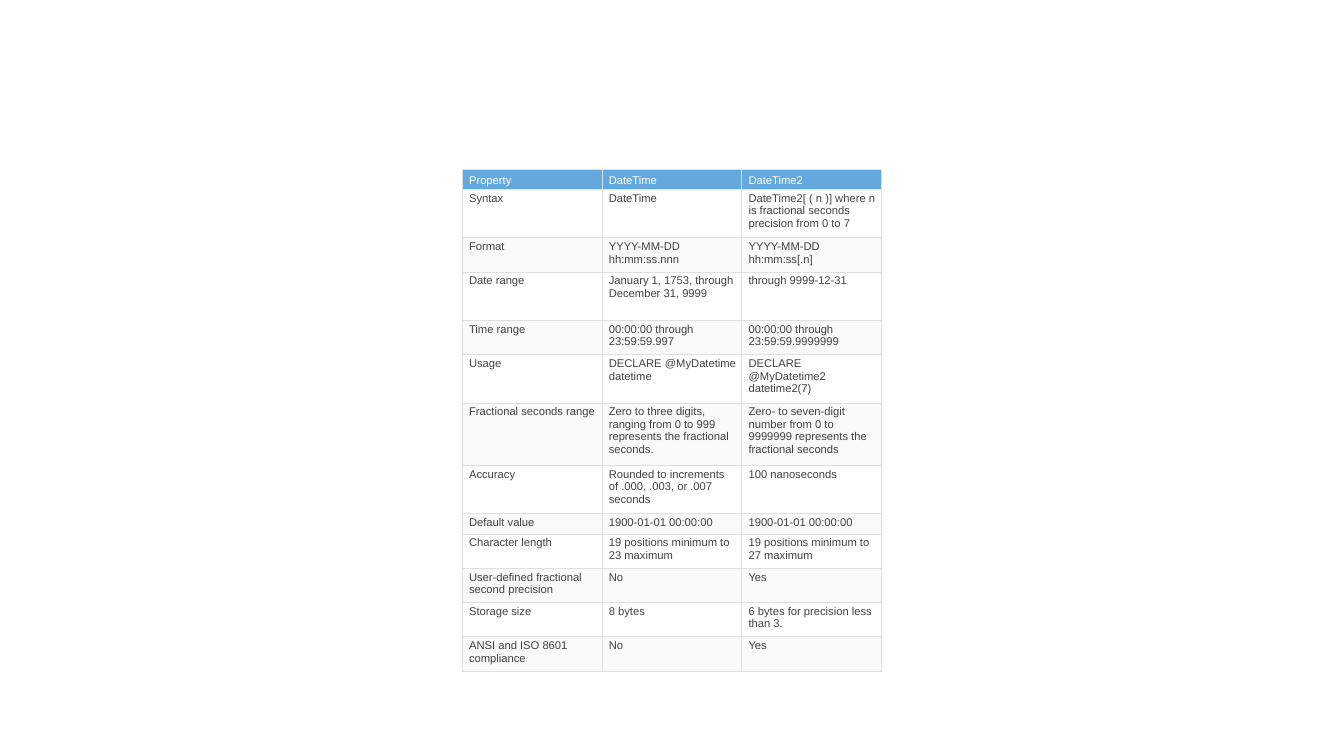
"""Build a slide with a table comparing the DateTime and DateTime2 types."""
from lxml import etree
from pptx import Presentation
from pptx.dml.color import RGBColor
from pptx.enum import text
from pptx.oxml import ns
from pptx.util import Inches, Pt

COLORS = {
    "header": "63A9E0",
    "header_text": "FFFFFF",
    "odd": "FFFFFF",
    "even": "F9F9F9",
    "text": "414141",
    "border": "DFDFDF",
}
ROWS = [
    (1, "Property", "DateTime", "DateTime2"),
    (3, "Syntax", "DateTime",
     "DateTime2[ ( n )] where n is fractional seconds precision from 0 to 7"),
    (2, "Format", "YYYY-MM-DD hh:mm:ss.nnn", "YYYY-MM-DD hh:mm:ss[.n]"),
    (3, "Date range", "January 1, 1753, through December 31, 9999", "through 9999-12-31"),
    (2, "Time range", "00:00:00 through 23:59:59.997", "00:00:00 through 23:59:59.9999999"),
    (3, "Usage", "DECLARE @MyDatetime datetime", "DECLARE @MyDatetime2 datetime2(7)"),
    (4, "Fractional seconds range",
     "Zero to three digits, ranging from 0 to 999 represents the fractional seconds.",
     "Zero- to seven-digit number from 0 to 9999999 represents the fractional seconds"),
    (3, "Accuracy", "Rounded to increments of .000, .003, or .007 seconds", "100 nanoseconds"),
    (1, "Default value", "1900-01-01 00:00:00", "1900-01-01 00:00:00"),
    (2, "Character length", "19 positions minimum to 23 maximum",
     "19 positions minimum to 27 maximum"),
    (2, "User-defined fractional second precision", "No", "Yes"),
    (2, "Storage size", "8 bytes", "6 bytes for precision less than 3."),
    (2, "ANSI and ISO 8601 compliance", "No", "Yes"),
]


def add_borders(cell):
    """Draw a thin line on all four sides of a cell."""
    props = cell._tc.get_or_add_tcPr()
    for side in ("a:lnL", "a:lnR", "a:lnT", "a:lnB"):
        line = etree.SubElement(props, ns.qn(side), w=str(Pt(0.6)))
        fill = etree.SubElement(line, ns.qn("a:solidFill"))
        etree.SubElement(fill, ns.qn("a:srgbClr"), val=COLORS["border"])


deck = Presentation()
deck.slide_width = Inches(10)
deck.slide_height = Inches(10 * 9 / 16)
page = deck.slides.add_slide(deck.slide_layouts[6])

frame = page.shapes.add_table(
    len(ROWS), 3, Inches(3.44), Inches(1.26), Inches(3.12), Inches(3.74))
table = frame.table
for column in table.columns:
    column.width = Inches(1.04)

for index, (lines, *entries) in enumerate(ROWS):
    table.rows[index].height = Inches(0.15 + 0.21 * (lines - 1) / 2)
    is_header = index == 0
    fill_name = "header" if is_header else "odd" if index % 2 else "even"
    text_name = "header_text" if is_header else "text"
    for cell, entry in zip(table.rows[index].cells, entries):
        add_borders(cell)
        cell.fill.solid()
        cell.fill.fore_color.rgb = RGBColor.from_string(COLORS[fill_name])
        cell.margin_left, cell.margin_right = Inches(0.05), Inches(0.04)
        cell.margin_top = cell.margin_bottom = Inches(0.02)
        cell.vertical_anchor = text.MSO_ANCHOR.BOTTOM if is_header else text.MSO_ANCHOR.TOP
        cell.text = entry
        font = cell.text_frame.paragraphs[0].font
        font.name, font.size, font.bold = "Arial", Pt(6), False
        font.color.rgb = RGBColor.from_string(COLORS[text_name])

deck.save("out.pptx")
